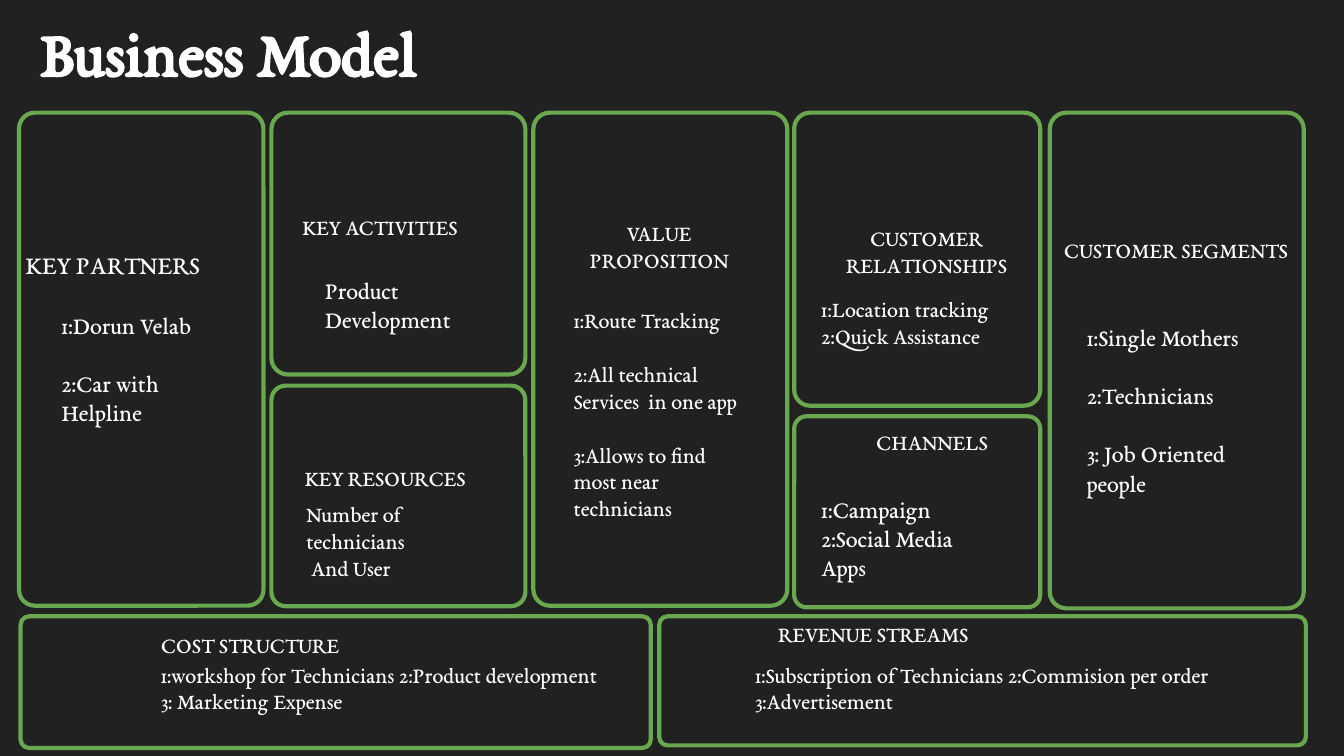
from pptx import Presentation
from pptx.dml.color import RGBColor
from pptx.enum.shapes import MSO_SHAPE
from pptx.enum.text import MSO_ANCHOR, PP_ALIGN
from pptx.util import Cm, Pt

COLORS = {"back": "212121", "edge": "6AA84F", "text": "FFFFFF"}
LEFT, MID = PP_ALIGN.LEFT, PP_ALIGN.CENTER
TOP = 2.13  # upper edge of the five columns
BASE = 11.65  # upper edge of the bottom row

# panel box, heading (text, box, size, align), body (lines, box, size, gap in lines)
BLOCKS = [
    ((0.36, TOP, 4.62, 9.32),
     (" KEY PARTNERS", (0.13, 4.45, 4.85, 1.07), 14, LEFT),
     (["1:Dorun Velab", "2:Car with Helpline"],
      (0.91, 5.61, 3.53, 2.74), 13, 1)),
    ((5.13, TOP, 4.8, 4.95),
     ("KEY ACTIVITIES", (5.46, 3.78, 4.62, 1.07), 12, LEFT),
     (["Product Development"], (5.89, 4.95, 3.3, 1.63), 13, 0)),
    ((5.13, 7.29, 4.8, 4.17),
     ("KEY RESOURCES", (5.51, 8.53, 4.34, 1.07), 12, LEFT),
     (["Number of technicians", " And User"],
      (5.54, 9.2, 3.96, 2.06), 12, 0)),
    ((10.08, TOP, 4.8, 9.32),
     ("VALUE PROPOSITION", (10.29, 3.89, 4.34, 1.07), 12, MID),
     (["1:Route Tracking", "2:All technical Services  in one app",
       "3:Allows to find most near technicians"],
      (10.59, 5.54, 3.63, 4.62), 12, 1)),
    ((15.01, TOP, 4.65, 5.54),
     ("CUSTOMER RELATIONSHIPS", (15.44, 3.99, 4.14, 1.37), 12, MID),
     (["1:Location tracking", "2:Quick Assistance"],
      (15.27, 5.33, 4.14, 1.55), 12, 0)),
    ((15.01, 7.87, 4.65, 3.61),
     ("CHANNELS", (16.31, 7.85, 3.96, 1.07), 12, LEFT),
     (["1:Campaign", "2:Social Media Apps"],
      (15.27, 9.09, 3.81, 2.18), 13, 0)),
    ((19.84, TOP, 4.8, 9.37),
     ("CUSTOMER SEGMENTS", (19.1, 4.22, 6.25, 1.07), 12, MID),
     (["1:Single Mothers", "2:Technicians", "3: Job Oriented people"],
      (20.29, 5.84, 3.96, 3.86), 13, 1)),
    ((0.39, BASE, 11.91, 2.49),
     ("COST STRUCTURE", (2.79, 11.68, 4.62, 1.07), 12, LEFT),
     (["1:workshop for Technicians 2:Product development 3: Marketing Expense"],
      (2.79, 12.24, 8.99, 1.55), 12, 0)),
    ((12.46, BASE, 12.22, 2.44),
     ("REVENUE STREAMS", (14.45, 11.48, 6.6, 1.07), 12, LEFT),
     (["1:Subscription of Technicians 2:Commision per order 3:Advertisement"],
      (14.02, 12.24, 9.63, 1.55), 12, 0)),
]


class Canvas:
    font = "EB Garamond"
    inset = Cm(0.25)
    lead = 1.2  # line height relative to the font size

    def __init__(self, slide):
        self.slide = slide
        fill = slide.background.fill
        fill.solid()
        fill.fore_color.rgb = self.color("back")

    def color(self, name):
        return RGBColor.from_string(COLORS[name])

    def panel(self, box):
        shape = self.slide.shapes.add_shape(
            MSO_SHAPE.ROUNDED_RECTANGLE, *map(Cm, box))
        shape.adjustments[0] = 0.065
        shape.shadow.inherit = False
        shape.fill.background()
        shape.line.color.rgb = self.color("edge")
        shape.line.width = Pt(2.25)

    def text(self, lines, box, size, align=LEFT, gap=0, bold=False,
             anchor=MSO_ANCHOR.TOP):
        """Add one paragraph per line, with gap blank lines' space between."""
        frame = self.slide.shapes.add_textbox(*map(Cm, box)).text_frame
        frame.word_wrap = True
        frame.vertical_anchor = anchor
        frame.margin_left = frame.margin_right = self.inset
        frame.margin_top = frame.margin_bottom = self.inset
        frame.text = "\n".join(lines)
        for index, para in enumerate(frame.paragraphs):
            para.alignment = align
            if index and gap:
                para.space_before = Pt(round(size * self.lead * gap, 1))
            for run in para.runs:
                run.font.name = self.font
                run.font.size = Pt(size)
                run.font.bold = bold
                run.font.color.rgb = self.color("text")


def main():
    deck = Presentation()
    deck.slide_width, deck.slide_height = Cm(25.4), Cm(14.29)
    canvas = Canvas(deck.slides.add_slide(deck.slide_layouts[6]))
    canvas.text(["Business Model"], (0.51, -0.2, 15.88, 2.29), 35,
                bold=True, anchor=MSO_ANCHOR.MIDDLE)
    for panel, (label, spot, size, align), (lines, area, small, gap) in BLOCKS:
        canvas.panel(panel)
        canvas.text([label], spot, size, align)
        canvas.text(lines, area, small, gap=gap)
    deck.save("out.pptx")


if __name__ == "__main__":
    main()
